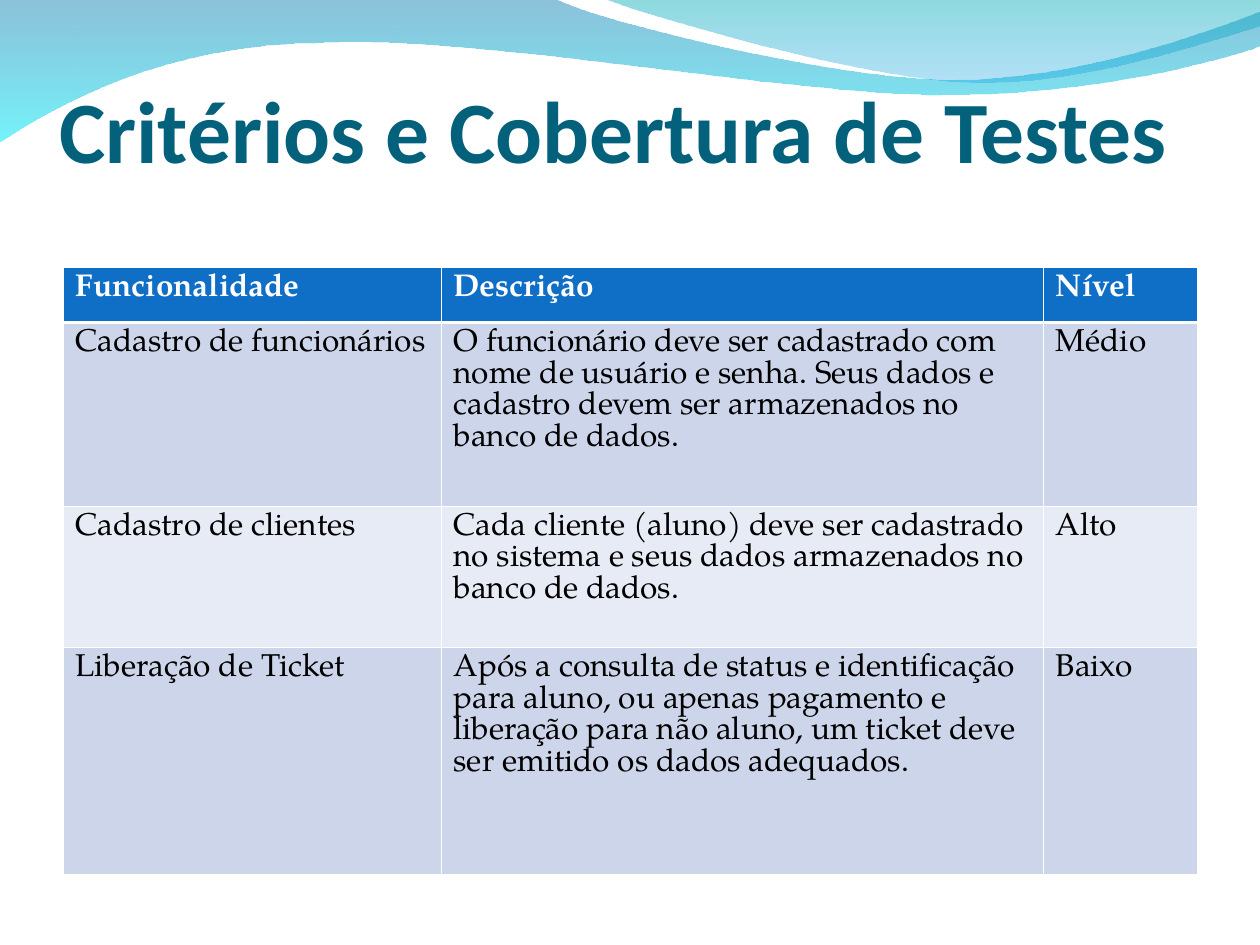
"""Build the test criteria and coverage slide with its wave header and table."""
from copy import deepcopy
from lxml.etree import SubElement
from pptx import Presentation
from pptx.dml.color import RGBColor
from pptx.enum.text import MSO_ANCHOR
from pptx.oxml.ns import qn
from pptx.util import Inches, Pt

WHITE = RGBColor(0xFF, 0xFF, 0xFF)
BLACK = RGBColor(0x00, 0x00, 0x00)
TEAL = RGBColor(0x04, 0x61, 0x7B)
HEADER = RGBColor(0x0F, 0x6F, 0xC6)
BAND = RGBColor(0xCC, 0xD5, 0xEA)
PALE = RGBColor(0xE7, 0xEB, 0xF5)
DEEP = RGBColor(0x00, 0x79, 0xAF)
CYAN = RGBColor(0x00, 0xEB, 0xF8)
SEA = RGBColor(0x00, 0xAD, 0xB6)
SKY = RGBColor(0x00, 0x9B, 0xE5)

prs = Presentation()
prs.slide_width, prs.slide_height = Inches(10), Inches(7.5)
U = prs.slide_width // 10
s = prs.slides.add_slide(prs.slide_layouts[6])


def style(p, text, **font):
    r = p.add_run()
    r.text = text
    r.font.color.rgb = font.pop("color")
    for name, value in font.items():
        setattr(r.font, name, value)
    return r


waves = [
    ((0, -0.01), [
        [(4.4, -0.01)],
        [(4.76, 0.17), (6.64, 0.63), (7.58, 0.63)],
        [(8.53, 0.63), (9.58, 0.26), (10, 0.09)],
        [(10.01, 0.36)],
        [(9.83, 0.44), (8.7, 0.76), (7.46, 0.75)],
        [(6.22, 0.75), (3.82, 0.28), (2.57, 0.34)],
        [(1.29, 0.35), (0.46, 0.83), (-0.01, 1.13)],
    ], [(DEEP, 45), (CYAN, 55)]),
    ((4.79, -0.01), [
        [(5.09, 0.11), (6.82, 0.62), (7.69, 0.65)],
        [(8.56, 0.69), (9.61, 0.32), (10, 0.21)],
        [(10, 0)],
    ], [(SEA, 45), (SKY, 30)]),
]
for (x0, y0), pieces, stops in waves:
    fb = s.shapes.build_freeform(x0 * U, y0 * U)
    fb.add_line_segments([(x * U, y * U) for piece in pieces for x, y in piece])
    sp = fb.convert_to_shape()
    spPr = sp.element.spPr
    lines = iter(spPr.findall(".//" + qn("a:lnTo")))
    for piece in pieces:
        group = [next(lines) for _ in piece]
        if len(group) == 3:
            bezier = group[0].makeelement(qn("a:cubicBezTo"))
            group[0].addprevious(bezier)
            for ln in group:
                bezier.append(ln[0])
                ln.getparent().remove(ln)
    sp.shadow.inherit = False
    sp.line.fill.background()
    sp.fill.gradient()
    sp.fill.gradient_angle = 270
    for stop, (color, _) in zip(sp.fill.gradient_stops, stops):
        stop.color.rgb = color
    clrs = spPr.findall(".//" + qn("a:gs") + "/" + qn("a:srgbClr"))
    for clr, (_, opacity) in zip(clrs, stops):
        SubElement(clr, qn("a:alpha"), val=str(opacity * 1000))

sp = s.shapes.add_textbox(*(int(n * U) for n in (0.47, 0.86, 9, 1.41)))
tf = sp.text_frame
frame = {"word_wrap": True, "vertical_anchor": MSO_ANCHOR.BOTTOM, "margin_left": 0,
         "margin_right": 0, "margin_top": int(0.05 * U), "margin_bottom": 0}
for name, value in frame.items():
    setattr(tf, name, value)
p = tf.paragraphs[0]
r = style(p, "Critérios e Cobertura de Testes",
          size=Pt(50), name="Calibri", bold=True, color=TEAL)
p.add_line_break()
rPr = r._r.find(qn("a:rPr"))
p._p[-1].append(deepcopy(rPr))
end = SubElement(p._p, qn("a:endParaRPr"), dict(rPr.attrib))
end.extend(deepcopy(list(rPr)))

rows = [
    ("Funcionalidade", "Descrição", "Nível"),
    ("Cadastro de funcionários",
     "O funcionário deve ser cadastrado com nome de usuário e senha. "
     "Seus dados e cadastro devem ser armazenados no banco de dados.", "Médio"),
    ("Cadastro de clientes",
     "Cada cliente (aluno) deve ser cadastrado no sistema e seus dados "
     "armazenados no banco de dados.", "Alto"),
    ("Liberação de Ticket",
     "Após a consulta de status e identificação para aluno, ou apenas pagamento e "
     "liberação para não aluno, um ticket deve ser emitido os dados adequados.", "Baixo"),
]
widths = (3, 4.78, 1.22)
heights = (0.44, 1.46, 1.12, 1.8)
table = s.shapes.add_table(len(rows), len(widths), int(0.5 * U), int(2.12 * U),
                           int(sum(widths) * U), int(sum(heights) * U)).table
for col, width in zip(table.columns, widths):
    col.width = int(width * U)
for i, (texts, height) in enumerate(zip(rows, heights)):
    table.rows[i].height = int(height * U)
    for j, text in enumerate(texts):
        cell = table.cell(i, j)
        p = cell.text_frame.paragraphs[0]
        p.line_spacing = Pt(18)
        style(p, text, size=Pt(18), name="TeX Gyre Pagella", bold=i == 0,
              color=BLACK if i else WHITE)
        tcPr = cell._tc.get_or_add_tcPr()
        for side in ("lnL", "lnR", "lnT", "lnB"):
            thick = (i, side) in ((0, "lnB"), (1, "lnT"))
            ln = SubElement(tcPr, qn("a:" + side), w=str(Pt(1.47 if thick else 0.45)))
            SubElement(SubElement(ln, qn("a:solidFill")), qn("a:srgbClr"), val=str(WHITE))
        cell.fill.solid()
        cell.fill.fore_color.rgb = (PALE if i % 2 == 0 else BAND) if i else HEADER

prs.save("out.pptx")
